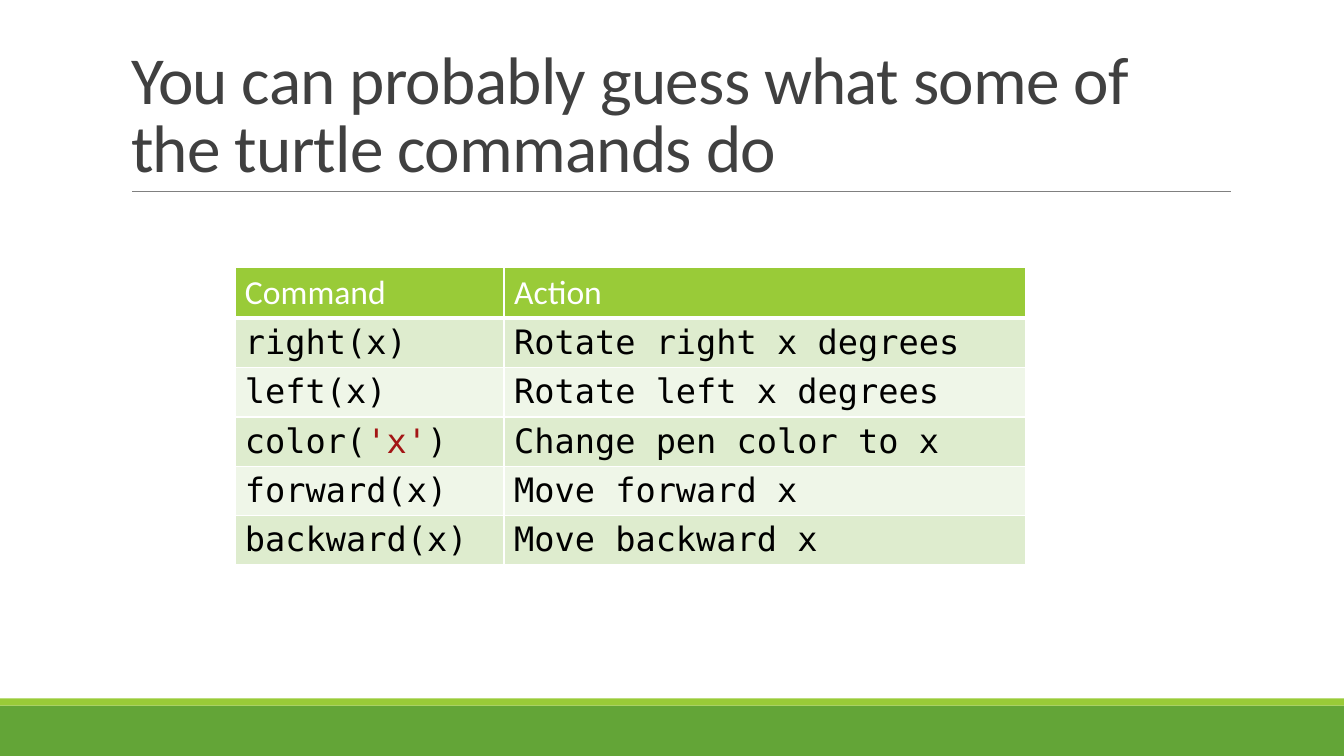
from lxml import etree
from pptx import Presentation
from pptx import util as u
from pptx.dml.color import RGBColor
from pptx.enum import shapes, text
from pptx.oxml import ns

WHITE = RGBColor(0xFF, 0xFF, 0xFF)
BLACK = RGBColor(0x00, 0x00, 0x00)
GRAY = RGBColor(0x80, 0x80, 0x80)
DARK_GRAY = RGBColor(0x40, 0x40, 0x40)
GREEN = RGBColor(0x63, 0xA5, 0x37)
LIME = RGBColor(0x99, 0xCB, 0x38)
BAND_DARK = RGBColor(0xDE, 0xEC, 0xCE)
BAND_LIGHT = RGBColor(0xEF, 0xF6, 0xE8)
STRING_RED = RGBColor(0xA3, 0x15, 0x15)

# Each cell is a list of (text, colour) runs
HEADER = [[("Command", WHITE)], [("Action", WHITE)]]
COMMANDS = [
    [[("right(x)", BLACK)], [("Rotate right x degrees", BLACK)]],
    [[("left(x)", BLACK)], [("Rotate left x degrees", BLACK)]],
    [[("color(", BLACK), ("'x'", STRING_RED), (")", BLACK)],
     [("Change pen color to x", BLACK)]],
    [[("forward(x)", BLACK)], [("Move forward x", BLACK)]],
    [[("backward(x)", BLACK)], [("Move backward x", BLACK)]],
]


class SlideBuilder:
    """Style and current slide, with one method per kind of element."""

    body_font = "Calibri"
    code_font = "DejaVu Sans Mono"
    title_size = 48
    table_size = 24

    def __init__(self, prs):
        self.s = prs.slides.add_slide(prs.slide_layouts[5])

    def add_run(self, p, content, font, size, color):
        r = p.add_run()
        r.text = content
        r.font.name = font
        r.font.size = u.Pt(size)
        r.font.color.rgb = color
        return r

    def band(self, top, height, color):
        sp = self.s.shapes.add_shape(
            shapes.MSO_SHAPE.RECTANGLE, 0, u.Inches(top),
            u.Inches(13.33), u.Inches(height))
        sp.shadow.inherit = False
        sp.fill.solid()
        sp.fill.fore_color.rgb = color
        sp.line.fill.background()

    def rule(self, x1, x2, y):
        line = self.s.shapes.add_connector(
            shapes.MSO_CONNECTOR.STRAIGHT, u.Inches(x1), u.Inches(y),
            u.Inches(x2), u.Inches(y))
        line.line.color.rgb = GRAY
        line.line.width = u.Pt(0.5)
        etree.SubElement(line._element.spPr, ns.qn("a:effectLst"))

    def title(self, content):
        sp = self.s.shapes.title
        sp.left, sp.top = u.Inches(1.2), u.Inches(0.31)
        sp.width, sp.height = u.Inches(11), u.Inches(1.59)
        tf = sp.text_frame
        tf.word_wrap = True
        tf.auto_size = text.MSO_AUTO_SIZE.NONE
        tf.vertical_anchor = text.MSO_ANCHOR.BOTTOM
        p = tf.paragraphs[0]
        p.alignment = text.PP_ALIGN.LEFT
        p.line_spacing = 0.85
        r = self.add_run(p, content, self.body_font, self.title_size, DARK_GRAY)
        r.font._element.set("spc", "-50")

    def borders(self, cell, bottom):
        tc_pr = cell._tc.get_or_add_tcPr()
        for side, width in (("L", 1), ("R", 1), ("T", 1), ("B", bottom)):
            ln = etree.SubElement(tc_pr, ns.qn(f"a:ln{side}"), w=str(u.Pt(width)))
            fill = etree.SubElement(ln, ns.qn("a:solidFill"))
            etree.SubElement(fill, ns.qn("a:srgbClr"), val=str(WHITE))

    def table(self, rows, left, top, widths, row_height):
        table = self.s.shapes.add_table(
            len(rows), len(widths), u.Inches(left), u.Inches(top),
            u.Inches(sum(widths)), u.Inches(row_height * len(rows))).table
        for column, width in zip(table.columns, widths):
            column.width = u.Inches(width)
        for i, row in enumerate(rows):
            table.rows[i].height = u.Inches(row_height)
            is_header = i == 0
            font = self.body_font if is_header else self.code_font
            band = BAND_DARK if i % 2 else BAND_LIGHT
            for j, runs in enumerate(row):
                cell = table.cell(i, j)
                # Borders come before the fill in the cell properties
                self.borders(cell, 3 if is_header else 1)
                cell.fill.solid()
                cell.fill.fore_color.rgb = LIME if is_header else band
                p = cell.text_frame.paragraphs[0]
                for content, color in runs:
                    r = self.add_run(p, content, font, self.table_size, color)
                    r.font.bold = False


def main():
    prs = Presentation()
    prs.slide_width, prs.slide_height = u.Inches(13.33), u.Inches(7.5)
    slide = SlideBuilder(prs)

    # Footer bands and title rule
    slide.band(7, 0.5, GREEN)
    slide.band(6.93, 0.07, LIME)
    slide.rule(1.31, 12.21, 1.9)

    # Title
    slide.title("You can probably guess what some of the turtle commands do")

    # Command table
    slide.table([HEADER] + COMMANDS, 2.33, 2.65, [2.67, 5.17], 0.49)

    prs.save("out.pptx")


if __name__ == "__main__":
    main()
